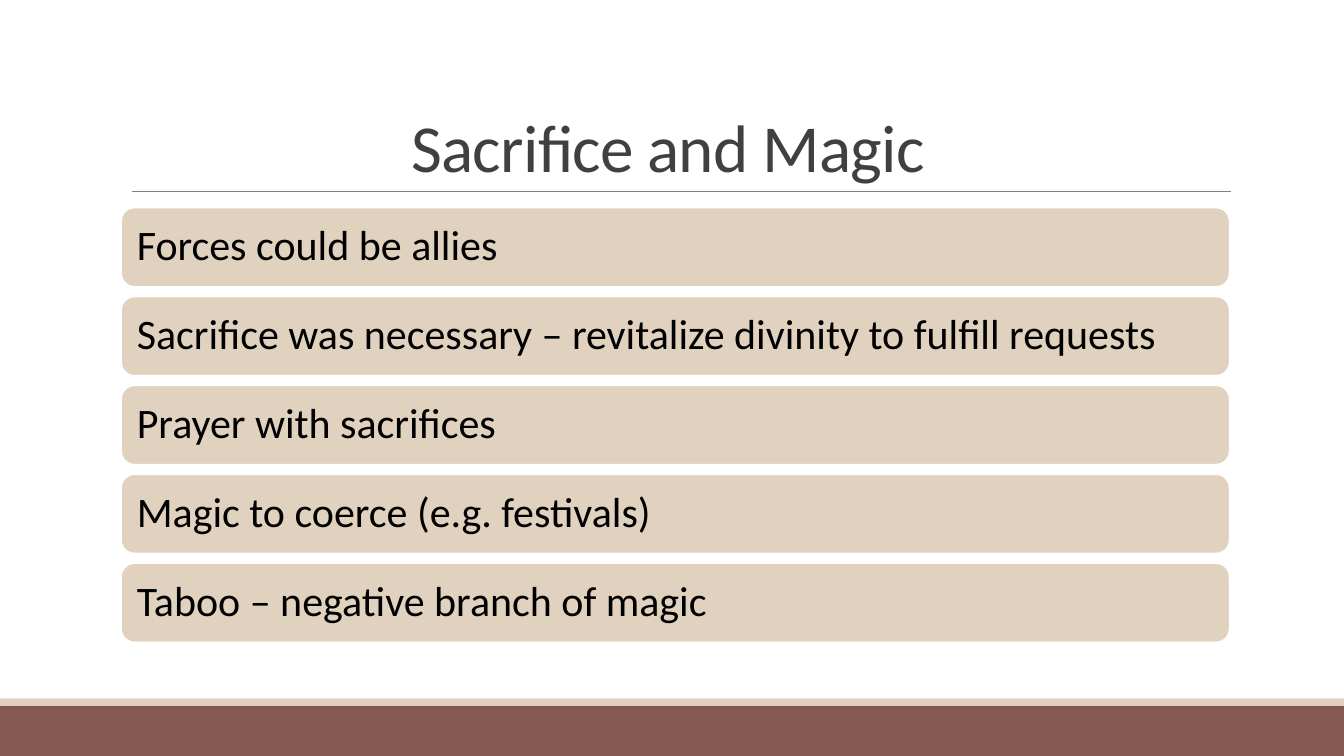
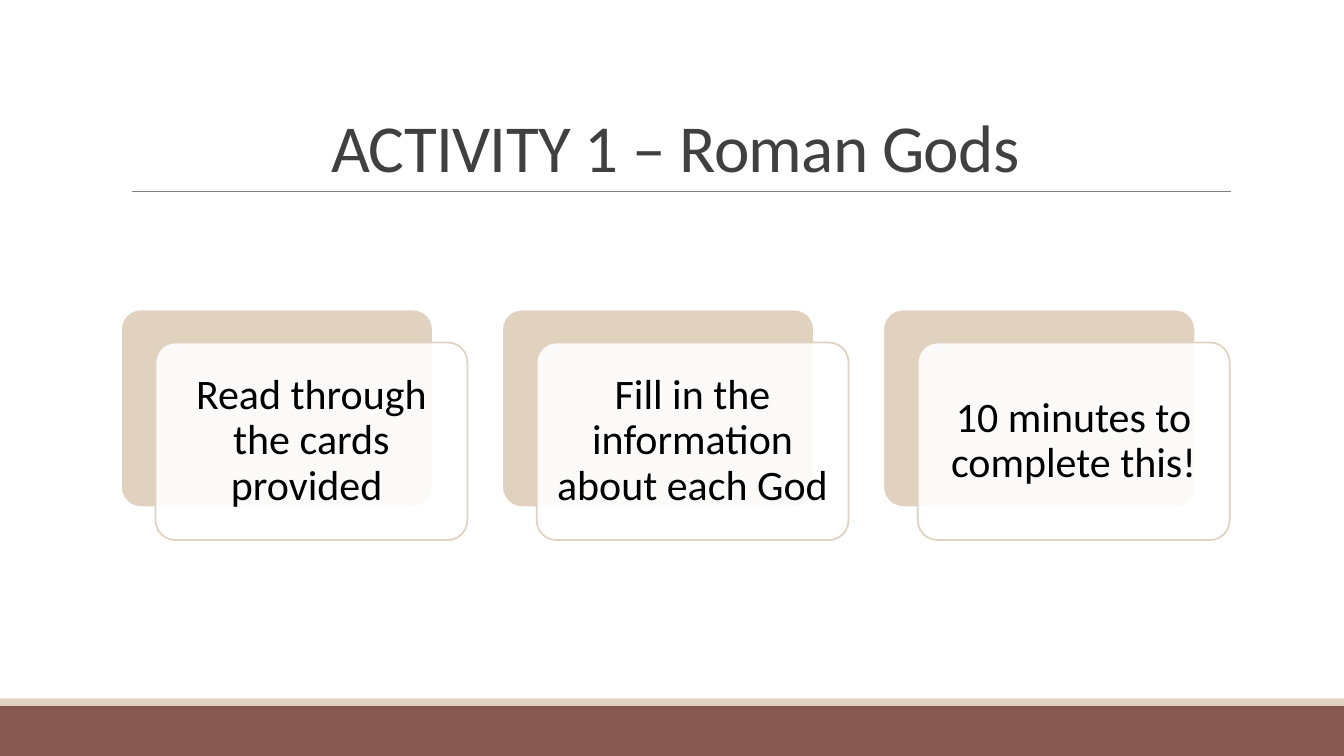
from dataclasses import dataclass

from lxml import etree
from pptx import Presentation
from pptx import util as u
from pptx.dml.color import RGBColor
from pptx.enum import shapes, text
from pptx.oxml.ns import qn


@dataclass(frozen=True)
class Theme:
    font: str = "Calibri"
    title_size: int = 48
    body_size: int = 30
    white: str = "FFFFFF"
    sand: str = "E1D2BF"
    maroon: str = "865852"
    rule: str = "808080"
    title: str = "404040"
    body: str = "000000"
    outline: float = 1.25
    hairline: float = 0.5


THEME = Theme()

# Shared geometry in centimetres
SLIDE_WIDTH, SLIDE_HEIGHT = 33.87, 19.05
LEFT, WIDTH = 3.05, 27.94
INSET = 0.3

SACRIFICE_POINTS = [
    "Forces could be allies",
    "Sacrifice was necessary – revitalize divinity to fulfill requests",
    "Prayer with sacrifices",
    "Magic to coerce (e.g. festivals)",
    "Taboo – negative branch of magic",
]
ACTIVITY_STEPS = [
    "Read through the cards provided ",
    "Fill in the information about each God",
    "10 minutes to complete this!",
]


def colour(value):
    return RGBColor.from_string(value)


def write(shape, words, size, font_colour, alignment, line_spacing, anchor):
    """Put one styled paragraph into a shape."""
    frame = shape.text_frame
    frame.word_wrap = True
    frame.vertical_anchor = anchor
    frame.text = words
    paragraph = frame.paragraphs[0]
    paragraph.alignment = alignment
    paragraph.line_spacing = line_spacing
    font = paragraph.runs[0].font
    font.name, font.size = THEME.font, u.Pt(size)
    font.color.rgb = colour(font_colour)


def add_box(slide, kind, left, top, width, height, fill, line=None):
    shape = slide.shapes.add_shape(
        kind, u.Cm(left), u.Cm(top), u.Cm(width), u.Cm(height))
    shape.shadow.inherit = False
    shape.fill.solid()
    shape.fill.fore_color.rgb = colour(fill)
    if line:
        shape.line.color.rgb = colour(line)
        shape.line.width = u.Pt(THEME.outline)
    else:
        shape.line.fill.background()
    return shape


def add_rounded(slide, left, top, width, height, fill, line, corner):
    shape = add_box(slide, shapes.MSO_SHAPE.ROUNDED_RECTANGLE,
                    left, top, width, height, fill, line)
    shape.adjustments[0] = corner
    return shape


def write_body(shape, words, alignment):
    frame = shape.text_frame
    frame.margin_left = frame.margin_right = u.Cm(INSET)
    frame.margin_top = frame.margin_bottom = u.Cm(INSET)
    write(shape, words, THEME.body_size, THEME.body, alignment, 0.9,
          text.MSO_ANCHOR.MIDDLE)


def set_opacity(shape, percent):
    fill_colour = shape.fill._xPr.find(qn("a:solidFill"))[0]
    etree.SubElement(fill_colour, qn("a:alpha"), val=str(percent * 1000))


def add_rule(slide, left, right, top):
    rule = slide.shapes.add_connector(
        shapes.MSO_CONNECTOR.STRAIGHT,
        u.Cm(left), u.Cm(top), u.Cm(right), u.Cm(top))
    rule.line.color.rgb = colour(THEME.rule)
    rule.line.width = u.Pt(THEME.hairline)
    etree.SubElement(rule._element.spPr, qn("a:effectLst"))


def add_base_slide(presentation, title):
    """Add a slide with the footer bands, the rule and the title."""
    slide = presentation.slides.add_slide(presentation.slide_layouts[6])

    # Footer bands
    band_top, strip_height = 17.78, 0.18
    rectangle = shapes.MSO_SHAPE.RECTANGLE
    add_box(slide, rectangle, 0, band_top, SLIDE_WIDTH,
            SLIDE_HEIGHT - band_top, THEME.maroon)
    add_box(slide, rectangle, 0, band_top - strip_height, SLIDE_WIDTH,
            strip_height, THEME.sand)

    # Title over its rule
    add_rule(slide, 3.33, 31.01, 4.82)
    box = slide.shapes.add_textbox(
        u.Cm(LEFT), u.Cm(0.79), u.Cm(WIDTH), u.Cm(4.04))
    write(box, title, THEME.title_size, THEME.title, text.PP_ALIGN.CENTER,
          0.85, text.MSO_ANCHOR.BOTTOM)
    box.text_frame.paragraphs[0].runs[0].font._element.set("spc", "-50")
    return slide


def add_bar_list(slide, points):
    """Stack full-width bars, one for each point."""
    top, height, pitch = 5.23, 2.0, 2.24
    for index, words in enumerate(points):
        bar = add_rounded(slide, LEFT, top + index * pitch, WIDTH, height,
                          THEME.sand, THEME.white, 0.17)
        write_body(bar, words, text.PP_ALIGN.LEFT)


def add_card_row(slide, steps):
    """Spread layered cards evenly across the content width."""
    top, width, height = 7.8, 7.86, 4.98
    shift_x, shift_y, corner = 0.87, 0.83, 0.1
    pitch = (WIDTH - width - shift_x) / (len(steps) - 1)
    for index, words in enumerate(steps):
        left = LEFT + index * pitch
        add_rounded(slide, left, top, width, height,
                    THEME.sand, THEME.white, corner)
        card = add_rounded(slide, left + shift_x, top + shift_y, width, height,
                           THEME.white, THEME.sand, corner)
        set_opacity(card, 90)
        write_body(card, words, text.PP_ALIGN.CENTER)


def main():
    presentation = Presentation()
    presentation.slide_width = u.Cm(SLIDE_WIDTH)
    presentation.slide_height = u.Cm(SLIDE_HEIGHT)

    add_bar_list(add_base_slide(presentation, "Sacrifice and Magic "),
                 SACRIFICE_POINTS)
    add_card_row(add_base_slide(presentation, "ACTIVITY 1 – Roman Gods"),
                 ACTIVITY_STEPS)

    presentation.save("out.pptx")


if __name__ == "__main__":
    main()
